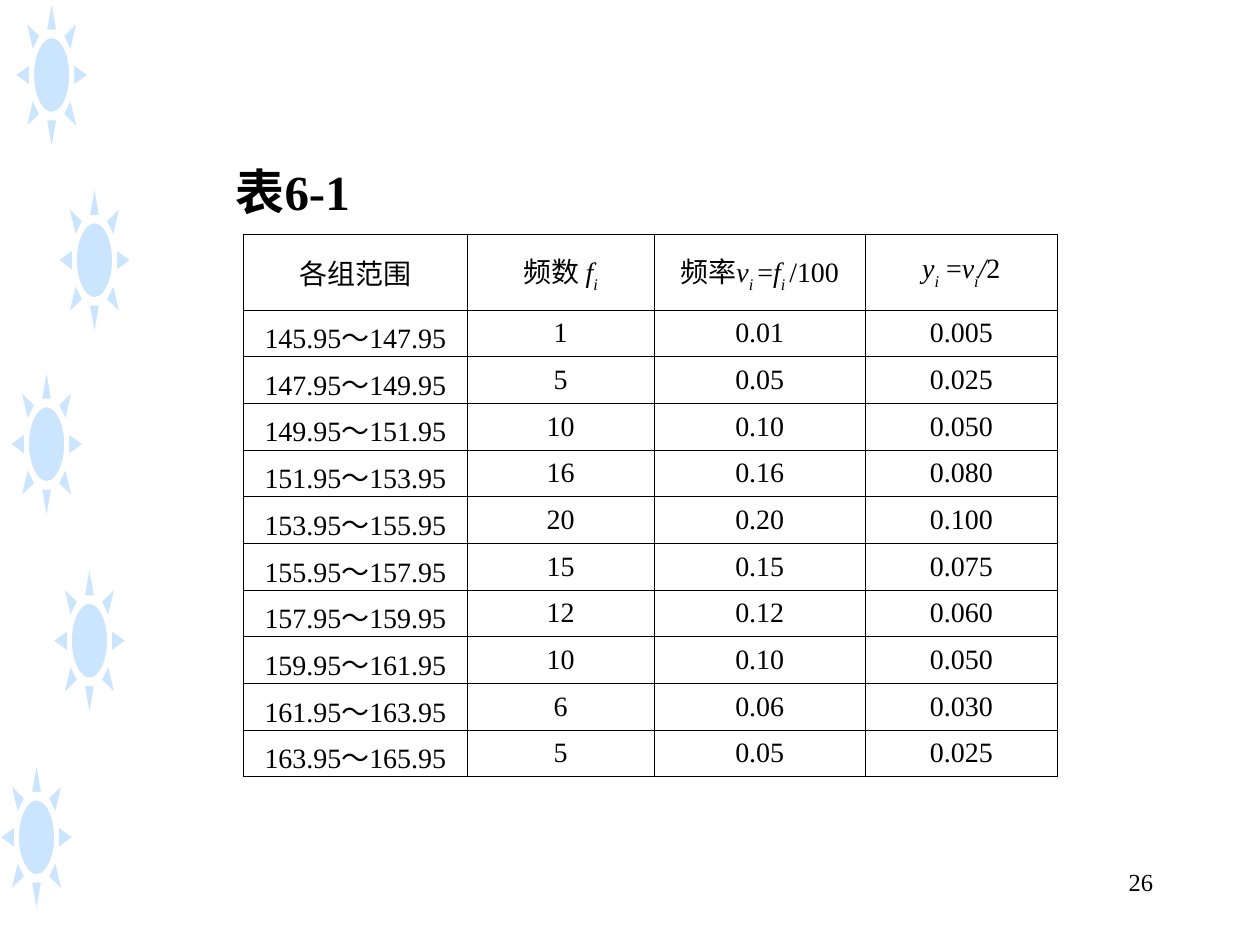
"""Build the slide with frequency table 6-1 beside a column of suns."""
from lxml import etree
from pptx import Presentation
from pptx import util as u
from pptx.dml.color import RGBColor
from pptx.enum import shapes, text
from pptx.oxml.ns import qn

THEME = {
    "font": "Times New Roman", "ink": "000000", "sun": "99CCFF", "paper": "FFFFFF",
    "title": 28, "table": 16, "number": 14, "thin": 0.34, "rule": 0.45,
}
TITLE = "表6-1"
PAGE = "26"
PLAIN, ITALIC, SUB = "plain", "italic", "sub"
HEADER = [
    [("各组范围", PLAIN)],
    [("频数 ", PLAIN), ("f", ITALIC), ("i", SUB)],
    [("频率", PLAIN), ("ν", ITALIC), ("i ", SUB), ("=", PLAIN),
     ("f", ITALIC), ("i ", SUB), ("/100", PLAIN)],
    [("y", ITALIC), ("i", SUB), (" =", PLAIN), ("ν", ITALIC),
     ("i", SUB), ("/", ITALIC), ("2", PLAIN)],
]
COUNTS = [1, 5, 10, 16, 20, 15, 12, 10, 6, 5]
FIRST_BOUND, STEP = 145.95, 2
COL_WIDTHS = [1.78, 1.48, 1.68, 1.52]
HEADER_HEIGHT, ROW_HEIGHT = 0.6, 0.37
SUNS = [(0.12, 0), (0.46, 1.47), (0.08, 2.93), (0.42, 4.49), (0, 6.05)]


def box(*lengths):
    return [u.Inches(n) for n in lengths]


def style(r, size, kind=PLAIN, bold=False):
    r.font.name = THEME["font"]
    r.font.size = u.Pt(size)
    r.font.bold = bold
    r.font.italic = kind != PLAIN
    r.font.color.rgb = RGBColor.from_string(THEME["ink"])
    if kind == SUB:
        r._r.get_or_add_rPr().set("baseline", "-30000")


def add_sun(s, left, top):
    sp = s.shapes.add_shape(shapes.MSO_SHAPE.SUN, *box(left, top, 0.58, 1.19))
    sp.shadow.inherit = False
    sp.fill.solid()
    sp.fill.fore_color.rgb = RGBColor.from_string(THEME["sun"])
    color = sp.fill._xPr.find(".//" + qn("a:srgbClr"))
    etree.SubElement(color, qn("a:alpha"), val="50000")
    sp.line.color.rgb = RGBColor.from_string(THEME["paper"])
    sp.line.width = u.Pt(0.75)


def add_border(cell, side, width):
    ln = etree.SubElement(cell._tc.get_or_add_tcPr(), qn(f"a:{side}"), w=str(u.Pt(width)))
    fill = etree.SubElement(ln, qn("a:solidFill"))
    etree.SubElement(fill, qn("a:srgbClr"), val=THEME["ink"])


def fill_cell(cell, runs, thin_sides):
    cell.vertical_anchor = text.MSO_ANCHOR.MIDDLE
    p = cell.text_frame.paragraphs[0]
    p.alignment = text.PP_ALIGN.CENTER
    for content, kind in runs:
        r = p.add_run()
        r.text = content
        style(r, THEME["table"], kind)
    for side in ("lnL", "lnR", "lnT", "lnB"):
        add_border(cell, side, THEME["thin" if side in thin_sides else "rule"])
    cell.fill.background()


def thin_sides(row, col, last_row, last_col):
    rules = {
        "lnL": row > 0 and col == 0,
        "lnR": col == last_col,
        "lnT": row > 1,
        "lnB": 0 < row < last_row,
    }
    return [side for side, thin in rules.items() if thin]


def add_table(s):
    total = sum(COUNTS)
    rows = [HEADER]
    for i, count in enumerate(COUNTS):
        low = FIRST_BOUND + STEP * i
        share = count / total
        values = (f"{low:.2f}～{low + STEP:.2f}", str(count),
                  f"{share:.2f}", f"{share / STEP:.3f}")
        rows.append([[(value, PLAIN)] for value in values])
    height = HEADER_HEIGHT + ROW_HEIGHT * len(COUNTS)
    table = s.shapes.add_table(len(rows), len(COL_WIDTHS),
                               *box(1.93, 1.86, sum(COL_WIDTHS), height)).table
    table.first_row = table.horz_banding = False
    for column, width in zip(table.columns, COL_WIDTHS):
        column.width = u.Inches(width)
    for i, row in enumerate(rows):
        table.rows[i].height = u.Inches(ROW_HEIGHT if i else HEADER_HEIGHT)
        for j, runs in enumerate(row):
            fill_cell(table.cell(i, j), runs,
                      thin_sides(i, j, len(rows) - 1, len(row) - 1))
        if i:
            table.cell(i, 0).margin_bottom = 0


def set_text(sp, content, size, align, bold=False):
    tf = sp.text_frame
    tf.word_wrap = True
    tf.auto_size = text.MSO_AUTO_SIZE.NONE
    tf.vertical_anchor = text.MSO_ANCHOR.TOP
    tf.text = content
    tf.paragraphs[0].alignment = align
    style(tf.paragraphs[0].runs[0], size, bold=bold)


def main():
    prs = Presentation()
    prs.slide_width, prs.slide_height = box(10, 7.5)
    s = prs.slides.add_slide(prs.slide_layouts[5])
    for left, top in SUNS:
        add_sun(s, left, top)
    title = s.shapes.title
    title.left, title.top, title.width, title.height = box(1.77, 1.23, 6.03, 1.04)
    set_text(title, TITLE, THEME["title"], text.PP_ALIGN.LEFT, bold=True)
    add_table(s)
    number = s.shapes.add_textbox(*box(7.17, 6.83, 2.08, 0.5))
    set_text(number, PAGE, THEME["number"], text.PP_ALIGN.RIGHT)
    prs.save("out.pptx")


if __name__ == "__main__":
    main()
